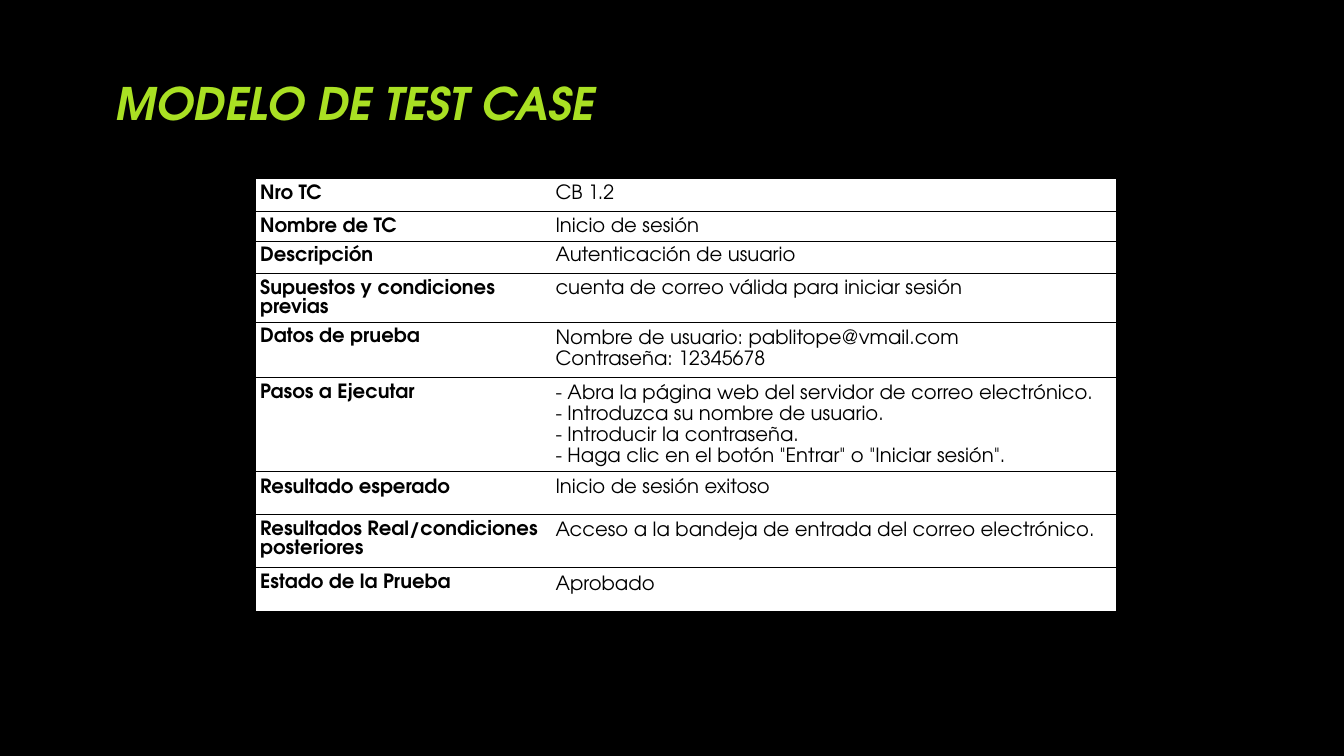
from lxml import etree
from pptx import Presentation
from pptx.dml.color import RGBColor
from pptx.enum.text import MSO_ANCHOR, PP_ALIGN
from pptx.oxml.ns import qn
from pptx.util import Inches, Pt

BLACK = RGBColor(0x00, 0x00, 0x00)
WHITE = RGBColor(0xFF, 0xFF, 0xFF)
LIME = RGBColor(0xA9, 0xE0, 0x23)
MIDDLE = MSO_ANCHOR.MIDDLE
LEFT = PP_ALIGN.LEFT
TITLE_ONLY = 5

# Paragraph spacing: line spacing, points before and after
SPACED = (1.07, 6)
COMPACT = (1.15, 0)

# Label, label spacing, value lines, value spacing, row height (% of slide)
TEST_CASE = [
    ("Nro TC", SPACED, ["CB 1.2"], SPACED, 4.4),
    ("Nombre de TC", SPACED, ["Inicio de sesión"], SPACED, 3.73),
    ("Descripción", SPACED, ["Autenticación de usuario"], SPACED, 4.27),
    ("Supuestos y condiciones previas", SPACED,
     ["cuenta de correo válida para iniciar sesión"], SPACED, 5.2),
    ("Datos de prueba", SPACED,
     ["Nombre de usuario: pablitope@vmail.com", "Contraseña: 12345678"],
     COMPACT, 7.33),
    ("Pasos a Ejecutar", SPACED,
     ["- Abra la página web del servidor de correo electrónico.",
      "- Introduzca su nombre de usuario.",
      "- Introducir la contraseña.",
      '- Haga clic en el botón "Entrar" o "Iniciar sesión".'],
     COMPACT, 11.87),
    ("Resultado esperado", COMPACT, ["Inicio de sesión exitoso"], COMPACT, 5.73),
    ("Resultados Real/condiciones posteriores", SPACED,
     ["Acceso a la bandeja de entrada del correo electrónico."], COMPACT, 7.07),
    ("Estado de la Prueba", SPACED, ["Aprobado"], COMPACT, 5.73),
]


class SlideBuilder:
    """Holds the style and the current page; lengths are % of the slide."""

    font_name = "TeX Gyre Adventor"
    title_size = Pt(32)
    body_size = Pt(14)
    cell_margin = Inches(0.05)
    border_width = Pt(1)

    def __init__(self, deck):
        self.deck = deck
        self.page = deck.slides.add_slide(deck.slide_layouts[TITLE_ONLY])
        fill = self.page.background.fill
        fill.solid()
        fill.fore_color.rgb = BLACK

    def across(self, percent):
        return round(self.deck.slide_width * percent / 100)

    def down(self, percent):
        return round(self.deck.slide_height * percent / 100)

    def add_span(self, para, text, size, color, bold, italic=False):
        span = para.add_run()
        span.text = text
        font = span.font
        font.name, font.size = self.font_name, size
        font.bold, font.italic = bold, italic
        font.color.rgb = color

    def title(self, text, left, top, width, height):
        box = self.page.shapes.title
        box.left, box.top = self.across(left), self.down(top)
        box.width, box.height = self.across(width), self.down(height)
        box.text_frame.vertical_anchor = MIDDLE
        para = box.text_frame.paragraphs[0]
        para.alignment = LEFT
        self.add_span(para, text, self.title_size, LIME, True, True)

    def borders(self, cell, sides):
        properties = cell._tc.get_or_add_tcPr()
        for position, side in enumerate("LRTB"):
            line = etree.Element(qn(f"a:ln{side}"), w=str(self.border_width))
            if side in sides:
                fill = etree.SubElement(line, qn("a:solidFill"))
                etree.SubElement(fill, qn("a:srgbClr"), val=str(BLACK))
            else:
                etree.SubElement(line, qn("a:noFill"))
            properties.insert(position, line)

    def cell(self, cell, lines, spacing, bold, sides):
        cell.margin_left = cell.margin_right = self.cell_margin
        cell.margin_top = cell.margin_bottom = self.cell_margin
        cell.fill.solid()
        cell.fill.fore_color.rgb = WHITE
        self.borders(cell, sides)
        frame = cell.text_frame
        for index, text in enumerate(lines):
            para = frame.add_paragraph() if index else frame.paragraphs[0]
            para.line_spacing = spacing[0]
            para.space_before = para.space_after = Pt(spacing[1])
            self.add_span(para, text, self.body_size, BLACK, bold)

    def table(self, records, left, top, widths):
        total_height = sum(record[-1] for record in records)
        table = self.page.shapes.add_table(
            len(records), len(widths), self.across(left), self.down(top),
            self.across(sum(widths)), self.down(total_height)).table
        table.first_row = table.horz_banding = False
        for column, width in zip(table.columns, widths):
            column.width = self.across(width)
        for row, record in zip(table.rows, records):
            label, label_spacing, values, value_spacing, height = record
            row.height = self.down(height)
            self.cell(row.cells[0], [label], label_spacing, True, "LTB")
            self.cell(row.cells[1], values, value_spacing, False, "RTB")


def main():
    deck = Presentation()
    deck.slide_width, deck.slide_height = Inches(13.33), Inches(7.5)
    builder = SlideBuilder(deck)

    # Heading
    builder.title("MODELO DE TEST CASE", 7.88, 6.27, 81.25, 14.67)

    # Test case sheet
    builder.table(TEST_CASE, 18.98, 23.6, [21.98, 42.09])

    deck.save("out.pptx")


if __name__ == "__main__":
    main()
